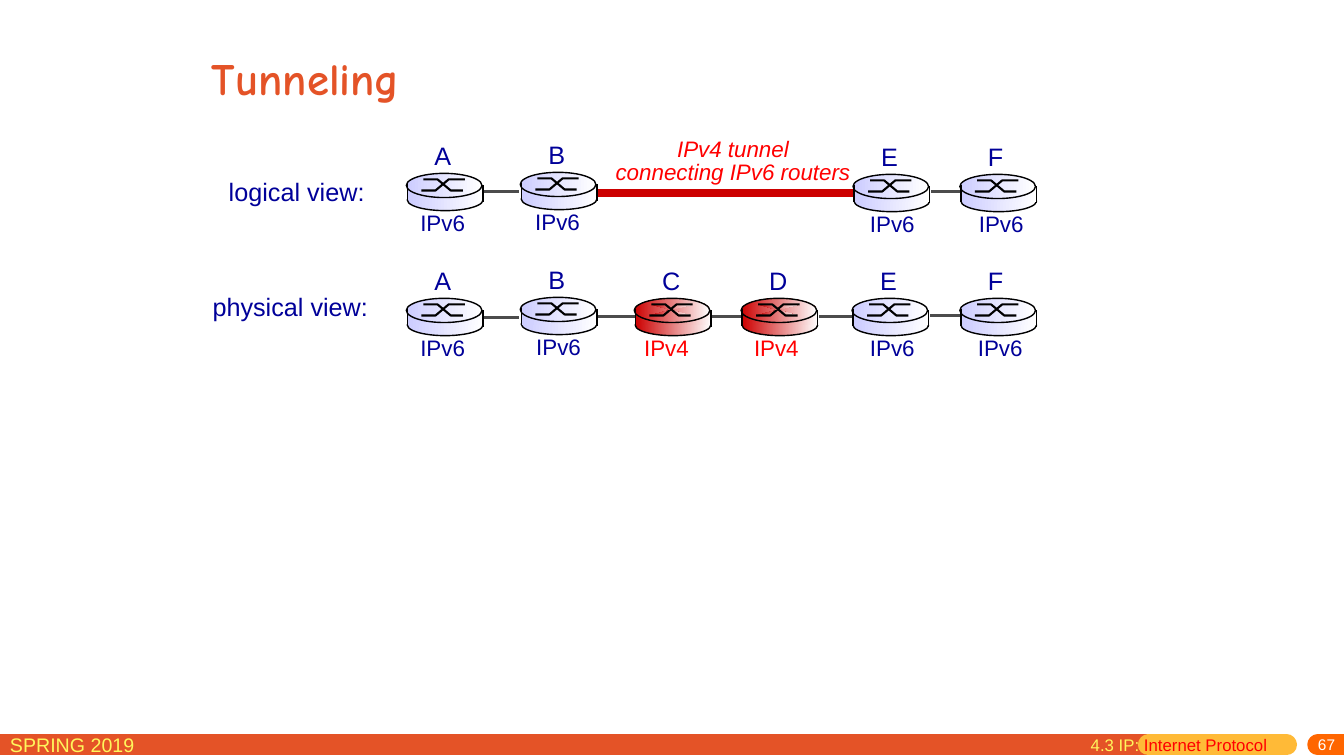
from lxml.etree import SubElement
from pptx import Presentation
from pptx.dml.color import RGBColor
from pptx.enum.shapes import MSO_CONNECTOR, MSO_SHAPE
from pptx.enum.text import MSO_ANCHOR, PP_ALIGN
from pptx.oxml.ns import qn
from pptx.util import Inches, Pt

# Content
TITLE = "Tunneling"
SEMESTER = "SPRING 2019"
PAGE = "67"
CHAPTER = [("4.3 IP: ", "FFF65C"), ("Internet Protocol", "FF0000")]
TUNNEL_NOTE = ["IPv4 tunnel", "connecting IPv6 routers"]
NAVY, RED, CRIMSON, WIRE, ORANGE = "000099", "FF0000", "CC0000", "4C4C4C", "E45327"

# Views: label, label left, top and width
VIEWS = [("logical view:", 2.17, 1.7, 1.55), ("physical view:", 2.01, 2.84, 1.74)]

# Routers: name, protocol, left, top, protocol label offset
ROUTERS = [
    ("A", "IPv6", 4.03, 1.72, 0.04), ("B", "IPv6", 5.16, 1.71, 0.05),
    ("E", "IPv6", 8.46, 1.73, 0.07), ("F", "IPv6", 9.52, 1.73, 0.09),
    ("A", "IPv6", 4.03, 2.96, 0.04), ("B", "IPv6", 5.16, 2.95, 0.06),
    ("C", "IPv4", 6.29, 2.96, 0), ("D", "IPv4", 7.35, 2.96, 0.03),
    ("E", "IPv6", 8.45, 2.96, 0.08), ("F", "IPv6", 9.52, 2.96, 0.08),
]
# Protocol: gradient start, label colour
PROTOCOLS = {"IPv6": ("CCCCFF", NAVY), "IPv4": (CRIMSON, RED)}

# Wires: start, end, height
WIRES = [(4.79, 5.15, 1.9), (9.23, 9.58, 1.9),
         (4.8, 5.15, 3.15), (5.93, 8.47, 3.14), (9.22, 9.58, 3.13)]

# Footer bands: start, end, colour, line cap
BANDS = [(0, 11.39, ORANGE, "flat"), (11.39, 12.76, "FFBA37", "rnd"),
         (13.07, 13.33, "FF6600", "rnd")]

# Router parts, relative to its left and top
BODY = [(MSO_SHAPE.OVAL, 0.01, 0.16, 0.75, 0.21, True),
        (MSO_SHAPE.RECTANGLE, 0.01, 0.14, 0.76, 0.13, False),
        (MSO_SHAPE.OVAL, 0, 0, 0.75, 0.24, True)]
CROSS = [[(0.15, 0.17), (0.29, 0.17), (0.42, 0.06), (0.58, 0.06)],
         [(0.17, 0.06), (0.31, 0.06), (0.44, 0.17), (0.56, 0.17)]]
SIDES = [(0.01, 0.11, 0.27), (0.76, 0.12, 0.28)]


def rgb(code):
    return RGBColor.from_string(code)


def set_font(font, size, color, name="Arial"):
    font.size, font.name = Pt(size), name
    font.color.rgb = rgb(color)


def add_text(left, top, width, height, lines, size, color, wrap=False):
    box = slide.shapes.add_textbox(*map(Inches, (left, top, width, height)))
    frame = box.text_frame
    frame.word_wrap = wrap
    frame.text = "\n".join(lines)
    for paragraph in frame.paragraphs:
        set_font(paragraph.font, size, color)
    return frame


def add_line(shapes, x1, y1, x2, y2, color, width, cap="flat"):
    line = shapes.add_connector(MSO_CONNECTOR.STRAIGHT, *map(Inches, (x1, y1, x2, y2)))
    line.line.color.rgb = rgb(color)
    line.line.width = Pt(width)
    properties = line._element.spPr
    properties.find(qn("a:ln")).set("cap", cap)
    SubElement(properties, qn("a:effectLst"))


def shade(shape, start):
    shape.fill.gradient()
    shape.fill.gradient_angle = 0
    for stop, position, color in zip(shape.fill.gradient_stops, (0, 1), (start, "FFFFFF")):
        stop.position = position
        stop.color.rgb = rgb(color)


def outline(shape, width):
    shape.shadow.inherit = False
    shape.line.color.rgb = rgb("000000")
    shape.line.width = Pt(width)


def add_router(name, protocol, left, top, label_offset):
    tint, label_color = PROTOCOLS[protocol]
    parts = slide.shapes.add_group_shape().shapes
    for kind, dx, dy, width, height, outlined in BODY:
        part = parts.add_shape(kind, *map(Inches, (left + dx, top + dy, width, height)))
        shade(part, tint)
        outline(part, 1)
        if not outlined:
            part.line.fill.background()
    for points in CROSS:
        path = [(Inches(left + dx), Inches(top + dy)) for dx, dy in points]
        builder = parts.build_freeform(*path[0])
        builder.add_line_segments(path[1:], close=False)
        arm = builder.convert_to_shape()
        if protocol == "IPv4":
            shade(arm, tint)
        else:
            arm.fill.background()
        outline(arm, 1.5)
    for dx, upper, lower in SIDES:
        add_line(parts, left + dx, top + upper, left + dx, top + lower, "000000", 1)
    add_text(left + 0.18, top - 0.38, 0.37, 0.4, [name], 18, NAVY)
    add_text(left + label_offset, top + 0.31, 0.65, 0.37, [protocol], 16, label_color)


presentation = Presentation()
presentation.slide_width, presentation.slide_height = Inches(13.33), Inches(7.5)
slide = presentation.slides.add_slide(presentation.slide_layouts[5])

# Title
title = slide.shapes.title
title.left, title.top, title.width, title.height = map(Inches, (2, 0.23, 8.5, 1.08))
title.text_frame.text = TITLE
title.text_frame.vertical_anchor = MSO_ANCHOR.MIDDLE
heading = title.text_frame.paragraphs[0]
heading.alignment = PP_ALIGN.LEFT
set_font(heading.font, 32, ORANGE, "Comic Neue")
heading.font.bold = True

# Footer
for start, end, color, cap in BANDS:
    add_line(slide.shapes, start, 7.39, end, 7.39, color, 15, cap)
add_text(0, 7.22, 2.29, 0.31, [SEMESTER], 14, "FFF65C", wrap=True)
page = add_text(10.75, 7.32, 2.59, 0.18, [PAGE], 11, "FFFFFF", wrap=True)
page.vertical_anchor = MSO_ANCHOR.MIDDLE
page.margin_top, page.margin_bottom = 0, Inches(0.05)
page.paragraphs[0].alignment = PP_ALIGN.RIGHT
chapter = add_text(10.72, 7.24, 2.2, 0.31, [""], 12, RED, wrap=True).paragraphs[0]
for words, color in CHAPTER:
    run = chapter.add_run()
    run.text = words
    set_font(run.font, 12, color)

# View labels
for label, left, top, width in VIEWS:
    add_text(left, top, width, 0.4, [label], 18, NAVY)

# Tunnel and wires, behind the routers
tunnel = slide.shapes.add_shape(MSO_SHAPE.RECTANGLE, *map(Inches, (5.88, 1.88, 2.63, 0.07)))
tunnel.shadow.inherit = False
tunnel.fill.solid()
tunnel.fill.fore_color.rgb = tunnel.line.color.rgb = rgb(CRIMSON)
tunnel.line.width = Pt(0.75)
note = add_text(6, 1.33, 2.54, 0.56, TUNNEL_NOTE, 16, RED)
for paragraph in note.paragraphs:
    paragraph.alignment = PP_ALIGN.CENTER
    paragraph.line_spacing = 0.85
    paragraph.font.italic = True
for start, end, height in WIRES:
    add_line(slide.shapes, start, height, end, height, WIRE, 1.5)

# Routers
for router in ROUTERS:
    add_router(*router)

presentation.save("out.pptx")
